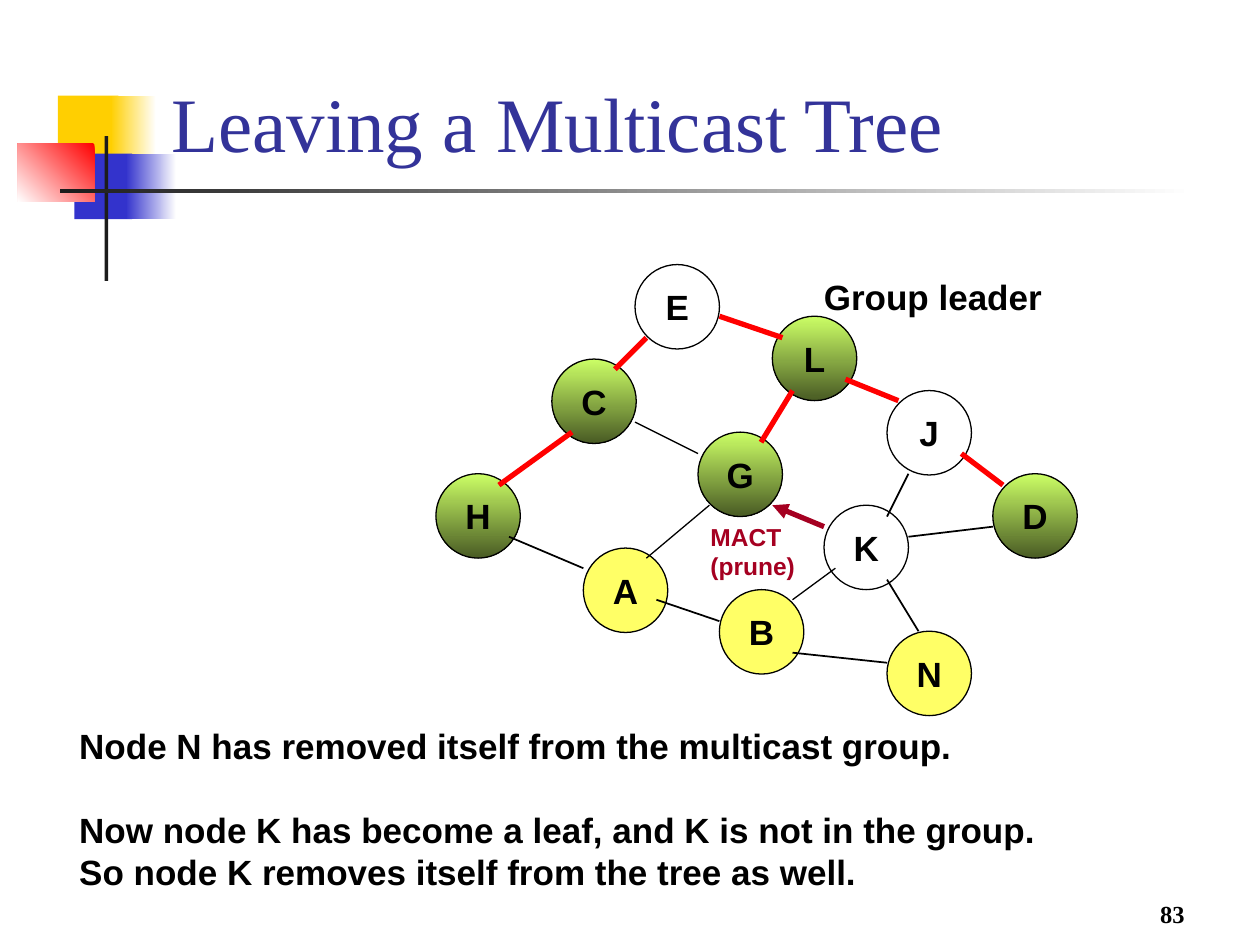
"""Build the slide on leaving a multicast tree."""
from pptx import Presentation
from pptx import util as u
from pptx.dml.color import RGBColor
from pptx.enum import shapes, text
from pptx.oxml import parse_xml
from pptx.oxml.ns import nsdecls

BLACK, RED, WINE = "000000", "FF0000", "A50021"
GREEN, YELLOW = ("CCFF66", "495B24", 270), "FFFF66"
DECOR = [
    (0.46, 0.76, 0.48, 0.52, "FFCF01"),
    (0.88, 0.76, 0.36, 0.52, ("FFFFFF", "FFCF01", 180)),
    (0.59, 1.22, 0.46, 0.52, "3333CC"),
    (1, 1.22, 0.4, 0.52, ("FFFFFF", "3333CC", 180)),
    (0.14, 1.14, 0.61, 0.46, ("FF0000", "FFFFFF", 225)),
    (0.83, 1.08, 0.03, 1.15, "1C1C1C"),
    (0.48, 1.5, 9, 0.03, ("FFFFFF", "1C1C1C", 180)),
]
NODES = [
    ("E", 5.04, 2.1, None), ("L", 6.13, 2.51, GREEN), ("H", 3.46, 3.76, GREEN),
    ("J", 7.04, 3.1, None), ("D", 7.88, 3.76, GREEN), ("C", 4.38, 2.85, GREEN),
    ("G", 5.54, 3.43, GREEN), ("A", 4.63, 4.35, YELLOW), ("B", 5.71, 4.68, YELLOW),
    ("K", 6.54, 4.01, None), ("N", 7.04, 5.01, YELLOW),
]
TREE = [
    (4.54, 3.43, 3.96, 3.85), (5.13, 2.68, 4.88, 2.93), (5.71, 2.51, 6.21, 2.68),
    (6.29, 3.1, 6.04, 3.51), (6.71, 3.01, 7.13, 3.18), (7.63, 3.6, 7.96, 3.85),
]
LINKS = [
    (4.04, 4.26, 4.63, 4.51), (7.88, 4.18, 7.21, 4.26), (7.29, 5.01, 7.04, 4.6),
    (5.71, 4.93, 5.21, 4.76), (6.29, 5.18, 7.04, 5.26), (7.21, 3.76, 7.04, 4.1),
]
THIN = [(5.04, 3.35, 5.54, 3.6), (5.63, 4.01, 5.13, 4.43), (6.63, 4.51, 6.29, 4.76)]


def rgb(code):
    """Turn a hex string into a colour."""
    return RGBColor.from_string(code)


def paint(fill, look):
    """Apply no fill, a plain colour or a two-colour gradient."""
    if look is None:
        fill.background()
    elif isinstance(look, str):
        fill.solid()
        fill.fore_color.rgb = rgb(look)
    else:
        fill.gradient()
        fill.gradient_angle = look[2]
        for stop, code in zip(fill.gradient_stops, look):
            stop.color.rgb = rgb(code)


def style(par, size, code=BLACK, face="Arial", bold=True, align="LEFT"):
    """Format one paragraph."""
    par.alignment = getattr(text.PP_ALIGN, align)
    font = par.font
    font.size, font.name, font.bold = u.Pt(size), face, bold
    font.color.rgb = rgb(code)


def block(slide, kind, x, y, w, h, look):
    """Add a filled shape with no line or shadow."""
    box = slide.shapes.add_shape(kind, *map(u.Inches, (x, y, w, h)))
    box.shadow.inherit = False
    paint(box.fill, look)
    box.line.fill.background()
    return box


def node(slide, name, x, y, look):
    """Add one lettered network node."""
    disc = block(slide, shapes.MSO_SHAPE.OVAL, x, y, 0.67, 0.67, look)
    disc.line.color.rgb = rgb(BLACK)
    disc.line.width = u.Pt(0.75)
    frame = disc.text_frame
    frame.text, frame.word_wrap = name, False
    style(frame.paragraphs[0], 20, align="CENTER")


def edge(slide, ends, code, width):
    """Add a straight line without a shadow."""
    line = slide.shapes.add_connector(shapes.MSO_CONNECTOR.STRAIGHT, *map(u.Inches, ends))
    line.line.color.rgb = rgb(code)
    line.line.width = u.Pt(width)
    line._element.spPr.append(parse_xml(f"<a:effectLst {nsdecls('a')}/>"))
    return line


def arrow(slide, ends, code, width):
    """Add a line with an arrowhead at its end."""
    line = edge(slide, ends, code, width)
    tip = parse_xml(f"<a:tailEnd {nsdecls('a')} type='triangle'/>")
    line.line._get_or_add_ln().append(tip)


def label(slide, x, y, w, h, words, size, anchor="MIDDLE", **look):
    """Add a text box and return its paragraphs."""
    frame = slide.shapes.add_textbox(*map(u.Inches, (x, y, w, h))).text_frame
    frame.text, frame.word_wrap = words, False
    frame.vertical_anchor = getattr(text.MSO_ANCHOR, anchor)
    for par in frame.paragraphs:
        style(par, size, **look)
    return frame.paragraphs


def title(slide, words):
    """Place and format the title."""
    head = slide.shapes.title
    head.left, head.top, head.width, head.height = map(u.Inches, (1.26, 0.13, 8.52, 1.25))
    frame = head.text_frame
    frame.text, frame.word_wrap = words, True
    frame.auto_size = text.MSO_AUTO_SIZE.NONE
    frame.vertical_anchor = text.MSO_ANCHOR.BOTTOM
    style(frame.paragraphs[0], 44, "333399", "Times New Roman", False)


def main():
    """Build and save the slide."""
    deck = Presentation()
    deck.slide_width, deck.slide_height = u.Inches(10), u.Inches(7.5)
    slide = deck.slides.add_slide(deck.slide_layouts[5])
    for part in DECOR:
        block(slide, shapes.MSO_SHAPE.RECTANGLE, *part)
    title(slide, "Leaving a Multicast Tree")
    for item in NODES:
        node(slide, *item)
    for group, code, width in ((TREE, RED, 3), (LINKS, BLACK, 1), (THIN, BLACK, 0.75)):
        for ends in group:
            edge(slide, ends, code, width)
    arrow(slide, (6.54, 4.18, 6.13, 4.01), WINE, 3)
    label(slide, 6.44, 2.13, 1.93, 0.44, "Group leader", 20)
    label(slide, 5.54, 4.09, 0.87, 0.57, "MACT\n(prune)", 14, code=WINE)
    notes = label(slide, 0.53, 5.7, 7.79, 1.44,
                  "Node N has removed itself from the multicast group.\n"
                  "Now node K has become a leaf, and K is not in the group.\n"
                  "So node K removes itself from the tree as well.", 20)
    notes[1].space_before = u.Pt(24)
    label(slide, 7.42, 6.92, 2.08, 0.5, "83", 14, "BOTTOM",
          face="Times New Roman", align="RIGHT")
    deck.save("out.pptx")


if __name__ == "__main__":
    main()
